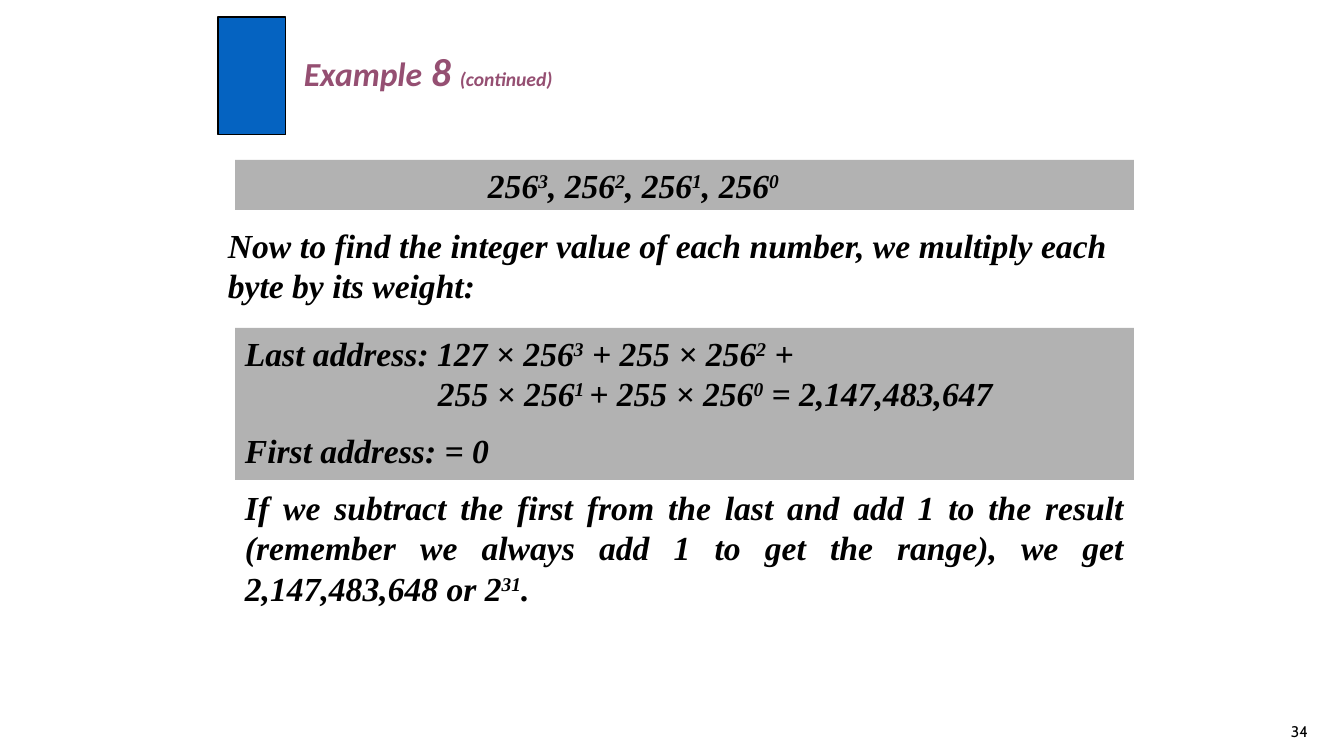
from pptx import Presentation
from pptx.dml.color import RGBColor
from pptx.enum.shapes import MSO_SHAPE as Shape
from pptx.enum.text import MSO_ANCHOR as Anchor, PP_ALIGN as Align
from pptx.util import Emu, Pt

EMU_PER_PX = 914400 / 100.8
SERIF = "Times New Roman"
BLACK, GREY, BLUE, PLUM = "000000", "B2B2B2", "0563C1", "954F72"


def px(length):
    return Emu(round(length * EMU_PER_PX))


def color(value):
    return RGBColor.from_string(value)


def add_rectangle(slide, box, fill, line=None):
    shape = slide.shapes.add_shape(Shape.RECTANGLE, *map(px, box))
    shape.shadow.inherit = False
    shape.fill.solid()
    shape.fill.fore_color.rgb = color(fill)
    if line:
        shape.line.color.rgb = color(line)
        shape.line.width = Pt(0.75)
    else:
        shape.line.fill.background()
    return shape


def add_text_box(slide, box, anchor=Anchor.TOP):
    shape = slide.shapes.add_textbox(*map(px, box))
    shape.text_frame.word_wrap = True
    shape.text_frame.vertical_anchor = anchor
    return shape


def add_run(paragraph, text, size, font, value, strong=True, raised=False):
    run = paragraph.add_run()
    run.text = text
    run.font.size = Pt(size)
    run.font.name = font
    run.font.color.rgb = color(value)
    run.font.bold = run.font.italic = strong
    if raised:
        run.font._element.set("baseline", "30000")


def write_math(paragraph, text, align=Align.LEFT, margin=0, indent=0):
    """Write serif text; parts between carets are superscript, \\n breaks the line."""
    paragraph.alignment = align
    properties = paragraph._p.get_or_add_pPr()
    properties.set("marL", str(px(margin)))
    properties.set("indent", str(px(indent)))
    for line_number, line in enumerate(text.split("\n")):
        if line_number:
            paragraph.add_line_break()
        for position, part in enumerate(line.split("^")):
            if part:
                add_run(paragraph, part, 24, SERIF, BLACK, raised=position % 2 == 1)


def first_paragraph(shape, anchor=Anchor.TOP):
    shape.text_frame.word_wrap = True
    shape.text_frame.vertical_anchor = anchor
    return shape.text_frame.paragraphs[0]


def main():
    presentation = Presentation()
    presentation.slide_width, presentation.slide_height = px(1344), px(756)
    slide = presentation.slides.add_slide(presentation.slide_layouts[6])

    # Heading
    add_rectangle(slide, (218, 17, 68, 118), BLUE, BLACK)
    heading = first_paragraph(add_text_box(slide, (294, 42, 462, 57)))
    for text, size in (("Example", 24), (" 8 ", 28), ("(continued)", 14)):
        add_run(heading, text, size, "Calibri", PLUM)

    # Byte weights
    weights = add_rectangle(slide, (235, 160, 899, 50), GREY)
    write_math(first_paragraph(weights), "256^3^, 256^2^, 256^1^, 256^0^",
               Align.JUSTIFY, margin=243)

    # Explanation
    explanation = add_text_box(slide, (218, 220, 899, 92))
    write_math(first_paragraph(explanation),
               "Now to find the integer value of each number, "
               "we multiply each byte by its weight:", Align.JUSTIFY)

    # Address values
    addresses = add_rectangle(slide, (235, 328, 899, 152), GREY)
    write_math(first_paragraph(addresses),
               "Last address: 127 × 256^3^ + 255 × 256^2^ +\n"
               "255 × 256^1 ^+ 255 × 256^0^ = 2,147,483,647", margin=193, indent=-193)
    first_address = addresses.text_frame.add_paragraph()
    first_address.space_before = Pt(12)
    write_math(first_address, "First address: = 0")

    # Conclusion
    conclusion = add_text_box(slide, (235, 482, 899, 132))
    write_math(first_paragraph(conclusion),
               "If we subtract the first from the last and add 1 to the result "
               "(remember we always add 1 to get the range), we get "
               "2,147,483,648 or 2^31^.", Align.JUSTIFY)

    # Slide number
    number = first_paragraph(add_text_box(slide, (1016, 711, 302, 40)), Anchor.MIDDLE)
    number.alignment = Align.RIGHT
    add_run(number, "34", 11, "Cabin", BLACK, strong=False)

    presentation.save("out.pptx")


if __name__ == "__main__":
    main()
